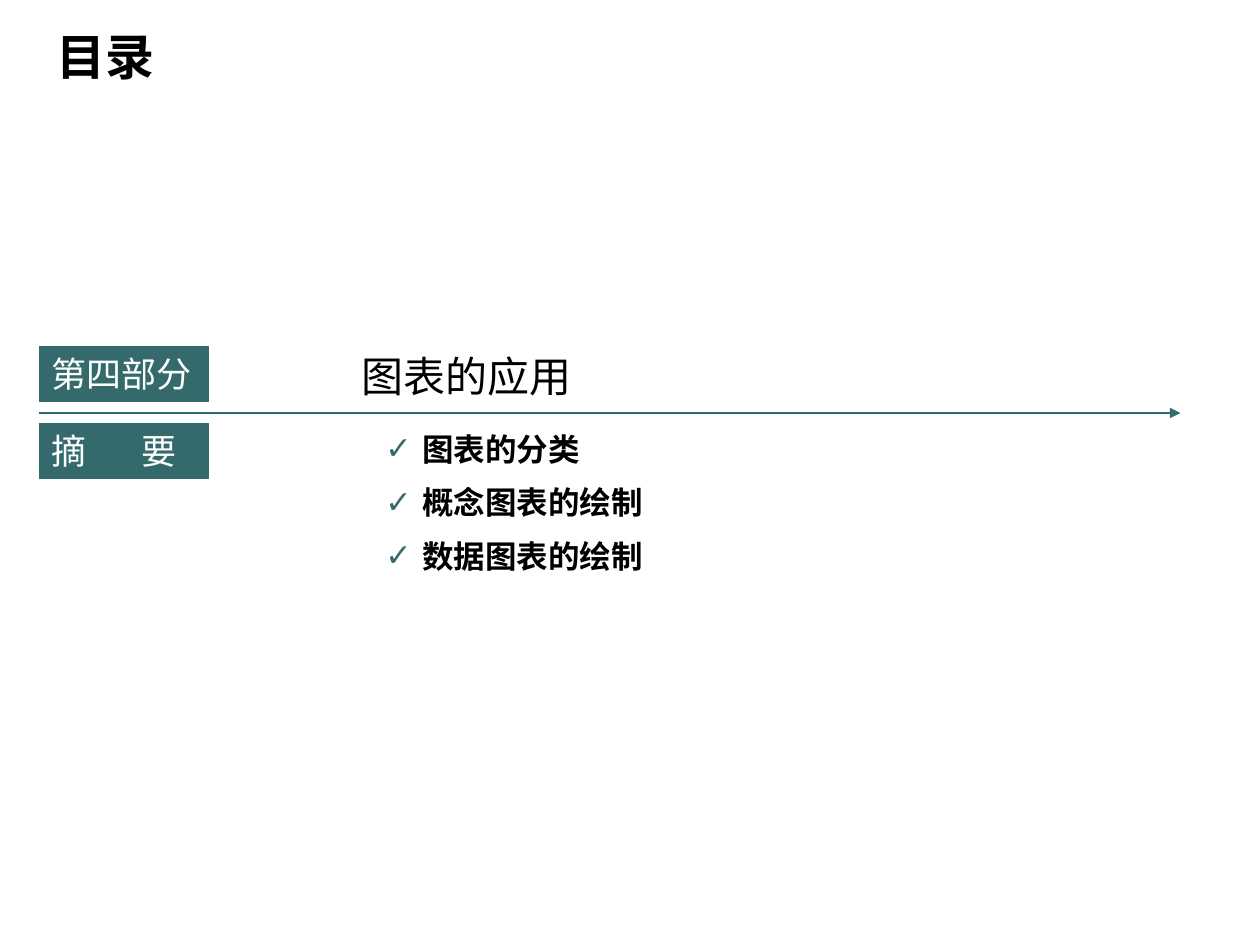
import pptx
import pptx.util
import pptx.dml.color
import pptx.enum.shapes
import pptx.enum.text
import pptx.oxml
import pptx.oxml.ns
from pptx.util import Pt

TEAL, BLACK, WHITE = "346A6C", "000000", "FFFFFF"
TOPICS = ["图表的分类", "概念图表的绘制", "数据图表的绘制"]
LEFT = 22.5


def rgb(value):
    """Turn a hex string into a colour."""
    return pptx.dml.color.RGBColor.from_string(value)


def element(xml):
    """Parse one DrawingML element."""
    tag, rest = xml.split(" ", 1) if " " in xml else (xml[:-2], "/>")
    return pptx.oxml.parse_xml(f"{tag} {pptx.oxml.ns.nsdecls('a')} {rest}")


def place(shape, left, top, width, height):
    """Move and size a placeholder."""
    shape.left, shape.top, shape.width, shape.height = map(Pt, (left, top, width, height))


def style_frame(frame, size, color, bold=False, anchor="TOP"):
    """Format a text frame and all its runs."""
    frame.word_wrap = True
    frame.auto_size = pptx.enum.text.MSO_AUTO_SIZE.NONE
    frame.vertical_anchor = getattr(pptx.enum.text.MSO_ANCHOR, anchor)
    for paragraph in frame.paragraphs:
        paragraph.alignment = pptx.enum.text.PP_ALIGN.LEFT
        for run in paragraph.runs:
            run.font.name, run.font.size, run.font.bold = "Arial", Pt(size), bold
            run.font.color.rgb = rgb(color)


def add_title(slide, text):
    """Fill the title placeholder."""
    title = slide.shapes.title
    place(title, 25, 9.5, 528, 45)
    title.text_frame.text = text
    style_frame(title.text_frame, 28, BLACK, True, "MIDDLE")


def add_label(slide, text, top):
    """Add a filled label with a tab stop for spread characters."""
    label = slide.shapes.add_shape(
        pptx.enum.shapes.MSO_SHAPE.RECTANGLE, Pt(LEFT), Pt(top), Pt(96.5), Pt(31.5))
    label.shadow.inherit = False
    label.fill.solid()
    label.fill.fore_color.rgb = label.line.color.rgb = rgb(TEAL)
    label.line.width = Pt(0.75)
    label.text_frame.text = text
    if "\t" in text:
        tabs = element("<a:tabLst />")
        tabs.append(element(f'<a:tab pos="{Pt(51.5)}" algn="l"/>'))
        label.text_frame.paragraphs[0]._p.get_or_add_pPr().append(tabs)
    style_frame(label.text_frame, 20, WHITE)


def add_heading(slide, text):
    """Add the heading of the part."""
    heading = slide.shapes.add_textbox(Pt(199.5), Pt(196.5), Pt(380), Pt(36))
    heading.text_frame.text = text
    style_frame(heading.text_frame, 24, BLACK)


def add_arrow(slide, y):
    """Add the arrow that divides the part from its summary."""
    arrow = slide.shapes.add_connector(
        pptx.enum.shapes.MSO_CONNECTOR.STRAIGHT, Pt(LEFT), Pt(y), Pt(674.5), Pt(y))
    arrow.line.color.rgb = rgb(TEAL)
    arrow.line.width = Pt(1)
    arrow.line._get_or_add_ln().append(element('<a:tailEnd type="triangle"/>'))
    arrow._element.spPr.append(element("<a:effectLst />"))


def add_topics(slide, topics):
    """Fill the body placeholder with ticked topics."""
    body = slide.placeholders[1]
    place(body, 184.5, 242, 367, 121)
    frame = body.text_frame
    frame.text = "\n".join(topics)
    for index, paragraph in enumerate(frame.paragraphs):
        paragraph.level = 1
        properties = paragraph._p.get_or_add_pPr()
        properties.set("marL", str(Pt(49.5)))
        properties.set("indent", str(Pt(-21)))
        bullet_color = element("<a:buClr />")
        bullet_color.append(element(f'<a:srgbClr val="{TEAL}"/>'))
        properties.append(bullet_color)
        properties.append(element('<a:buFont typeface="Arial"/>'))
        properties.append(element('<a:buChar char="✓"/>'))
        paragraph.space_before = Pt(4.5 if index else 0)
        paragraph.space_after = Pt(4.5)
    style_frame(frame, 18, BLACK, True)


def main():
    """Build the contents slide."""
    deck = pptx.Presentation()
    deck.slide_width, deck.slide_height = Pt(720), Pt(540)
    slide = deck.slides.add_slide(deck.slide_layouts[1])
    add_title(slide, "目录")
    add_label(slide, "第四部分", 198)
    add_heading(slide, "图表的应用")
    add_arrow(slide, 236)
    add_label(slide, "摘\t要", 242)
    add_topics(slide, TOPICS)
    deck.save("out.pptx")


if __name__ == "__main__":
    main()
